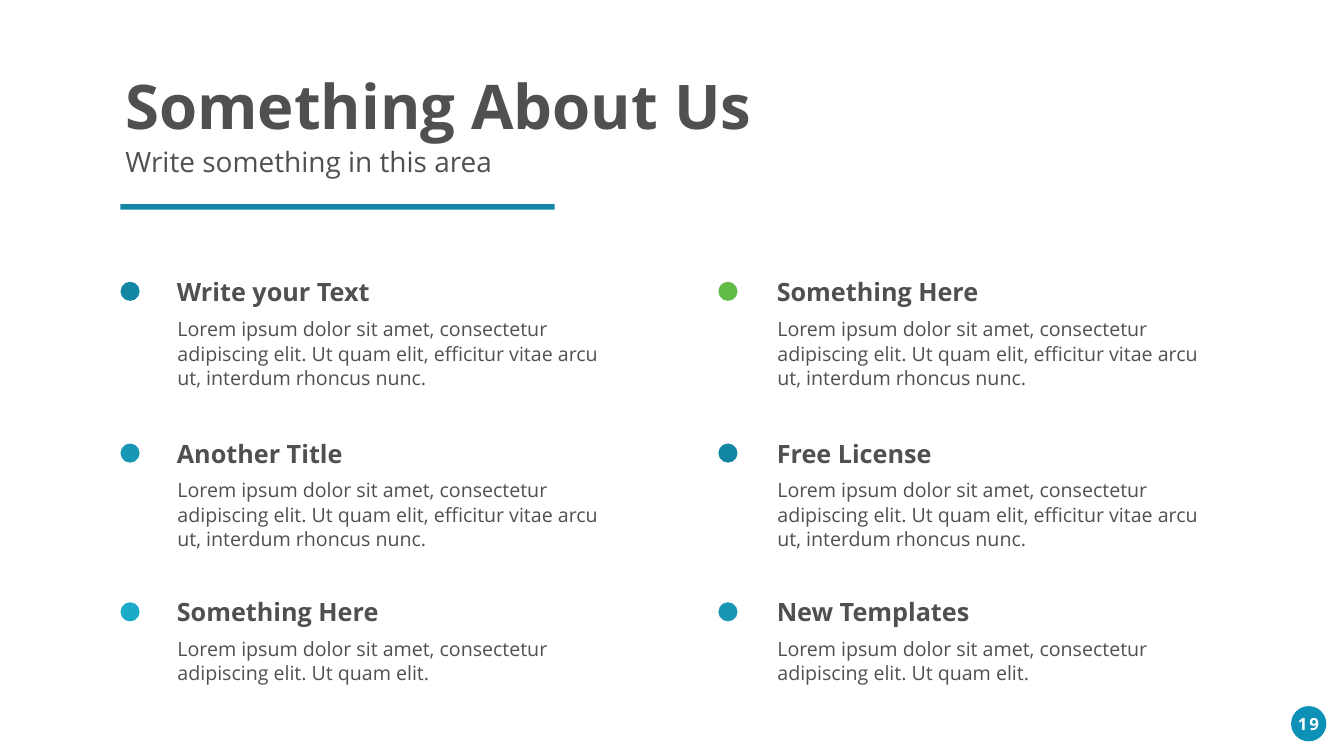
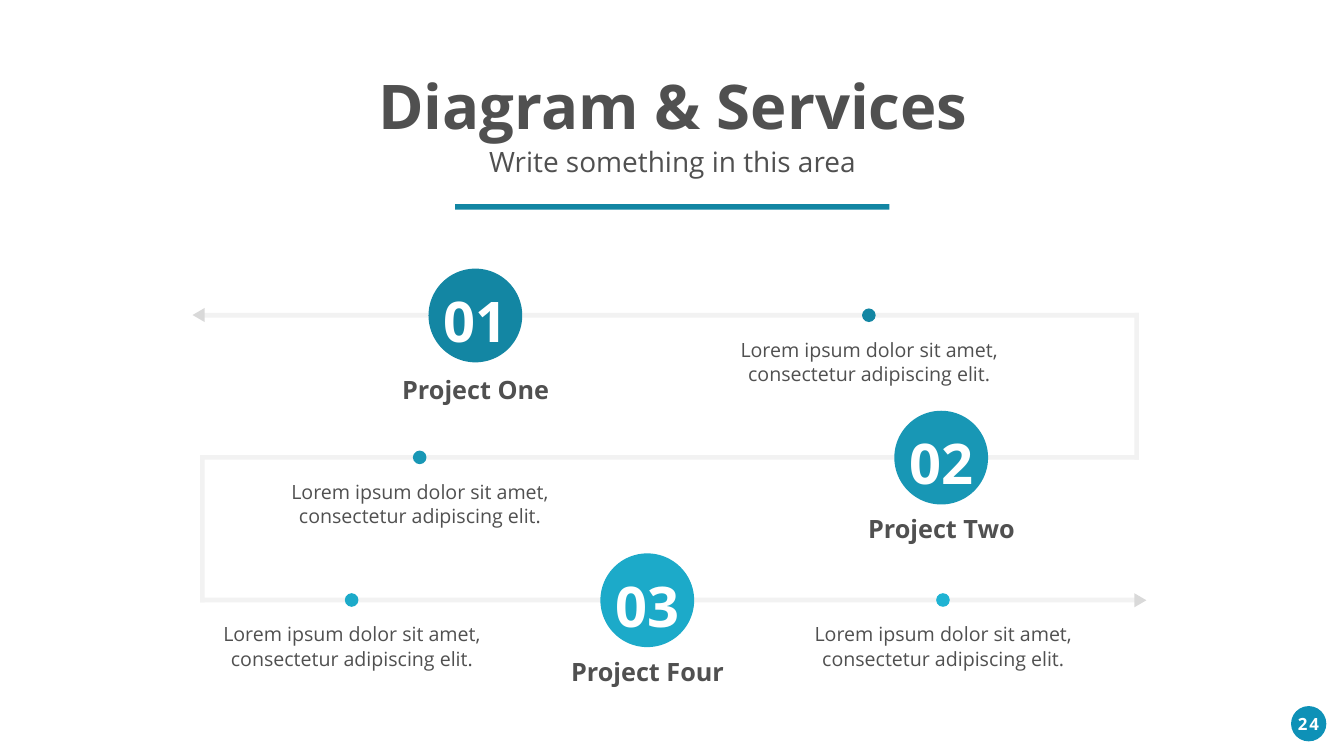
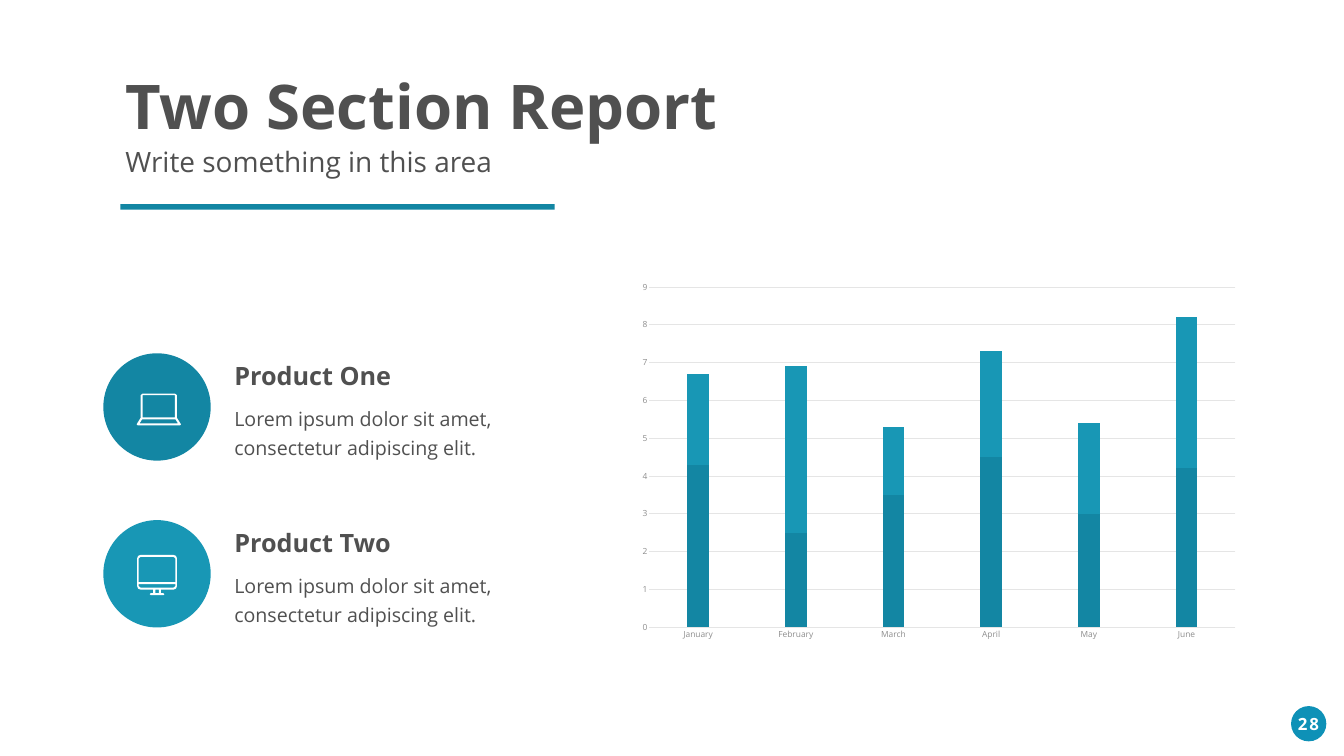
from dataclasses import dataclass

from pptx import Presentation
from pptx.chart.data import CategoryChartData
from pptx.dml.color import RGBColor
from pptx.enum.chart import XL_CHART_TYPE, XL_TICK_MARK
from pptx.enum.shapes import MSO_SHAPE
from pptx.enum.text import MSO_AUTO_SIZE, PP_ALIGN
from pptx.util import Inches, Pt


@dataclass(frozen=True)
class Theme:
    font: str = "Open Sans"
    ink: str = "505050"
    white: str = "FFFFFF"
    deep: str = "1386A3"
    mid: str = "1897B5"
    light: str = "1CAAC9"
    bright: str = "1FB3D3"
    green: str = "61BB46"
    badge: str = "0E91B7"
    rail: str = "F2F2F2"
    arrow: str = "D9D9D9"
    grid: str = "E5E5E5"
    axis: str = "8D8D8D"
    title: int = 88
    numeral: int = 80
    subtitle: int = 40
    heading: int = 36
    body: int = 28
    page: int = 24
    tick: int = 12


THEME = Theme()
LEFT, CENTER = PP_ALIGN.LEFT, PP_ALIGN.CENTER


def add_figure(slide, preset, left, top, width, height, color, rotation=0):
    figure = slide.shapes.add_shape(preset, Inches(left), Inches(top), Inches(width), Inches(height))
    figure.shadow.inherit = False
    figure.fill.solid()
    figure.fill.fore_color.rgb = RGBColor.from_string(color)
    figure.line.fill.background()
    figure.rotation = rotation


def add_text(slide, text, left, top, width, height, size, bold=False, color=THEME.ink,
             align=LEFT, spacing=None, before=None, inset=(0.1, 0.05), wrap=True, tracking=0):
    box = slide.shapes.add_textbox(Inches(left), Inches(top), Inches(width), Inches(height))
    frame = box.text_frame
    frame.word_wrap = wrap
    frame.auto_size = MSO_AUTO_SIZE.SHAPE_TO_FIT_TEXT
    frame.margin_left = frame.margin_right = Inches(inset[0])
    frame.margin_top = frame.margin_bottom = Inches(inset[1])
    paragraph = frame.paragraphs[0]
    paragraph.alignment = align
    if spacing:
        paragraph.line_spacing = Pt(spacing)
    if before:
        paragraph.space_before = Pt(before)
    run = paragraph.add_run()
    run.text = text
    run.font.name = THEME.font
    run.font.size = Pt(size)
    run.font.bold = bold
    run.font.color.rgb = RGBColor.from_string(color)
    if tracking:
        run.font._element.set("spc", str(tracking * 100))


deck = Presentation()
deck.slide_width, deck.slide_height = Inches(26.66), Inches(15)

pages = []
for title, number, title_left, title_width, subtitle_left, rule_left, align in [
    ("Something About Us", "19", 2.39, 12.76, 2.39, 2.39, LEFT),
    ("Diagram & Services", "24", 7.34, 12.02, 9.56, 9.03, CENTER),
    ("Two Section Report", "28", 2.39, 12.08, 2.39, 2.39, LEFT),
]:
    page = deck.slides.add_slide(deck.slide_layouts[6])
    add_figure(page, MSO_SHAPE.OVAL, 25.61, 14.01, 0.7, 0.7, THEME.badge)
    add_text(page, number, 25.56, 14.11, 0.79, 0.5, THEME.page, True, THEME.white, CENTER, tracking=3)
    add_text(page, title, title_left, 1.3, title_width, 1.58, THEME.title, True, align=align, wrap=False)
    add_text(page, "Write something in this area", subtitle_left, 2.82, 7.56, 0.77,
             THEME.subtitle, align=align, wrap=False)
    add_figure(page, MSO_SHAPE.RECTANGLE, rule_left, 4.05, 8.61, 0.11, THEME.deep)
    pages.append(page)
about, services, report = pages

short_text = "Lorem ipsum dolor sit amet, consectetur adipiscing elit. Ut quam elit."
long_text = short_text[:-1] + ", efficitur vitae arcu ut, interdum rhoncus nunc."
about_rows = [(5.59, 5.44, 1.71, long_text), (8.8, 8.64, 1.71, long_text), (11.95, 11.78, 1.22, short_text)]
about_columns = [
    (2.39, 3.41, [("Write your Text", THEME.deep), ("Another Title", THEME.mid), ("Something Here", THEME.light)]),
    (14.25, 15.31, [("Something Here", THEME.green), ("Free License", THEME.deep), ("New Templates", THEME.mid)]),
]
for bullet_left, heading_left, topics in about_columns:
    for (heading, color), (bullet_top, heading_top, height, description) in zip(topics, about_rows):
        add_figure(about, MSO_SHAPE.OVAL, bullet_left, bullet_top, 0.38, 0.38, color)
        add_text(about, description, heading_left - 0.13, heading_top + 0.71, 9.05, height,
                 THEME.body, spacing=35, before=5.6, inset=(0.24, 0.12))
        add_text(about, heading, heading_left, heading_top, 6.15, 0.71, THEME.heading, True)

sentence = "Lorem ipsum dolor sit amet, consectetur adipiscing elit."
track_rows = [6.26, 9.08, 11.91]
for center_y in track_rows:
    add_figure(services, MSO_SHAPE.RECTANGLE, 3.97, center_y - 0.05, 18.62, 0.09, THEME.rail)
for bend_left, bend_top in [(22.5, 6.21), (3.97, 9.04)]:
    add_figure(services, MSO_SHAPE.RECTANGLE, bend_left, bend_top, 0.09, 2.91, THEME.rail)
for tip_left, tip_top, turn in [(3.8, 6.13, 270), (22.48, 11.79, 90)]:
    add_figure(services, MSO_SHAPE.ISOSCELES_TRIANGLE, tip_left, tip_top, 0.28, 0.24, THEME.arrow, turn)
for center_x, center_y, color in [
    (17.24, track_rows[0], THEME.deep),
    (8.33, track_rows[1], THEME.mid),
    (6.98, track_rows[2], THEME.light),
    (18.71, track_rows[2], THEME.bright),
]:
    add_figure(services, MSO_SHAPE.OVAL, center_x - 0.14, center_y - 0.14, 0.27, 0.27, color)
    add_text(services, sentence, center_x - 3, center_y + 0.37, 6, 1.06, THEME.body, align=CENTER, spacing=35)
for numeral, project, center_x, center_y, label_top, color in [
    ("01", "Project One", 9.43, track_rows[0], 7.38, THEME.deep),
    ("02", "Project Two", 18.67, track_rows[1], 10.14, THEME.mid),
    ("03", "Project Four", 12.84, track_rows[2], 12.98, THEME.light),
]:
    add_figure(services, MSO_SHAPE.OVAL, center_x - 0.93, center_y - 0.93, 1.86, 1.86, color)
    add_text(services, numeral, center_x - 1.29, center_y - 0.62, 2.58, 1.45,
             THEME.numeral, True, THEME.white, CENTER)
    add_text(services, project, center_x - 2.27, label_top, 4.55, 0.71, THEME.heading, True, align=CENTER)

sales = CategoryChartData()
sales.categories = ["January", "February", "March", "April", "May", "June"]
sales.add_series("Series 1", [4.3, 2.5, 3.5, 4.5, 3, 4.2])
sales.add_series("Series 2", [2.4, 4.4, 1.8, 2.8, 2.4, 4])
chart = report.shapes.add_chart(XL_CHART_TYPE.COLUMN_STACKED, Inches(12.5), Inches(5.43),
                                Inches(12.25), Inches(7.43), sales).chart
chart.has_legend = False
chart.has_title = False
chart.font.name = THEME.font
chart.font.size = Pt(10)
chart.font.color.rgb = RGBColor.from_string(THEME.ink)
columns = chart.plots[0]
columns.gap_width = 350
columns.overlap = 100
columns.vary_by_categories = False
for series, color in zip(columns.series, [THEME.deep, THEME.mid]):
    series.format.fill.solid()
    series.format.fill.fore_color.rgb = RGBColor.from_string(color)
months, amounts = chart.category_axis, chart.value_axis
for axis in (months, amounts):
    axis.major_tick_mark = axis.minor_tick_mark = XL_TICK_MARK.NONE
    axis.tick_labels.font.name = THEME.font
    axis.tick_labels.font.size = Pt(THEME.tick)
    axis.tick_labels.font.color.rgb = RGBColor.from_string(THEME.axis)
amounts.minimum_scale, amounts.maximum_scale, amounts.major_unit = 0, 9, 1
amounts.format.line.fill.background()
for line in (months.format.line, amounts.major_gridlines.format.line):
    line.color.rgb = RGBColor.from_string(THEME.grid)
    line.width = Pt(0.75)

laptop = [
    [(283, 781), (347, 781), (351, 784), (351, 829), (359, 842), (357, 844),
     (273, 844), (271, 842), (279, 829), (279, 784)],
    [(283, 784), (347, 784), (347, 828), (283, 828)],
    [(277, 840), (282, 832), (348, 832), (353, 840)],
]
monitor = [
    [(279, 1101), (344, 1101), (349, 1103), (351, 1108), (351, 1163), (349, 1168), (344, 1170),
     (319, 1170), (319, 1177), (324, 1177), (326, 1179), (324, 1181), (299, 1181), (297, 1179),
     (299, 1177), (304, 1177), (304, 1170), (279, 1170), (274, 1168), (272, 1163), (272, 1108), (274, 1103)],
    [(275, 1155), (275, 1108), (279, 1105), (344, 1105), (348, 1108), (348, 1155)],
    [(275, 1159), (348, 1159), (348, 1163), (344, 1166), (279, 1166), (275, 1163)],
    [(308, 1170), (315, 1170), (315, 1177), (308, 1177)],
]
for product, disc_top, color, contours, height in [
    ("Product One", 7.01, THEME.deep, laptop, 1.25),
    ("Product Two", 10.32, THEME.mid, monitor, 1.2),
]:
    add_figure(report, MSO_SHAPE.OVAL, 2.05, disc_top, 2.13, 2.13, color)
    outline = report.shapes.build_freeform(*contours[0][0], scale=Inches(0.01))
    outline.add_line_segments(contours[0][1:], close=True)
    for hole in contours[1:]:
        outline.move_to(*hole[0])
        outline.add_line_segments(hole[1:], close=True)
    device = outline.convert_to_shape()
    device.shadow.inherit = False
    device.fill.solid()
    device.fill.fore_color.rgb = RGBColor.from_string(THEME.white)
    device.line.fill.background()
    add_text(report, sentence, 4.55, disc_top + 0.92, 6.56, height, THEME.body, spacing=40.8)
    add_text(report, product, 4.55, disc_top + 0.09, 6.56, 0.73, THEME.heading, True)

deck.save("out.pptx")
